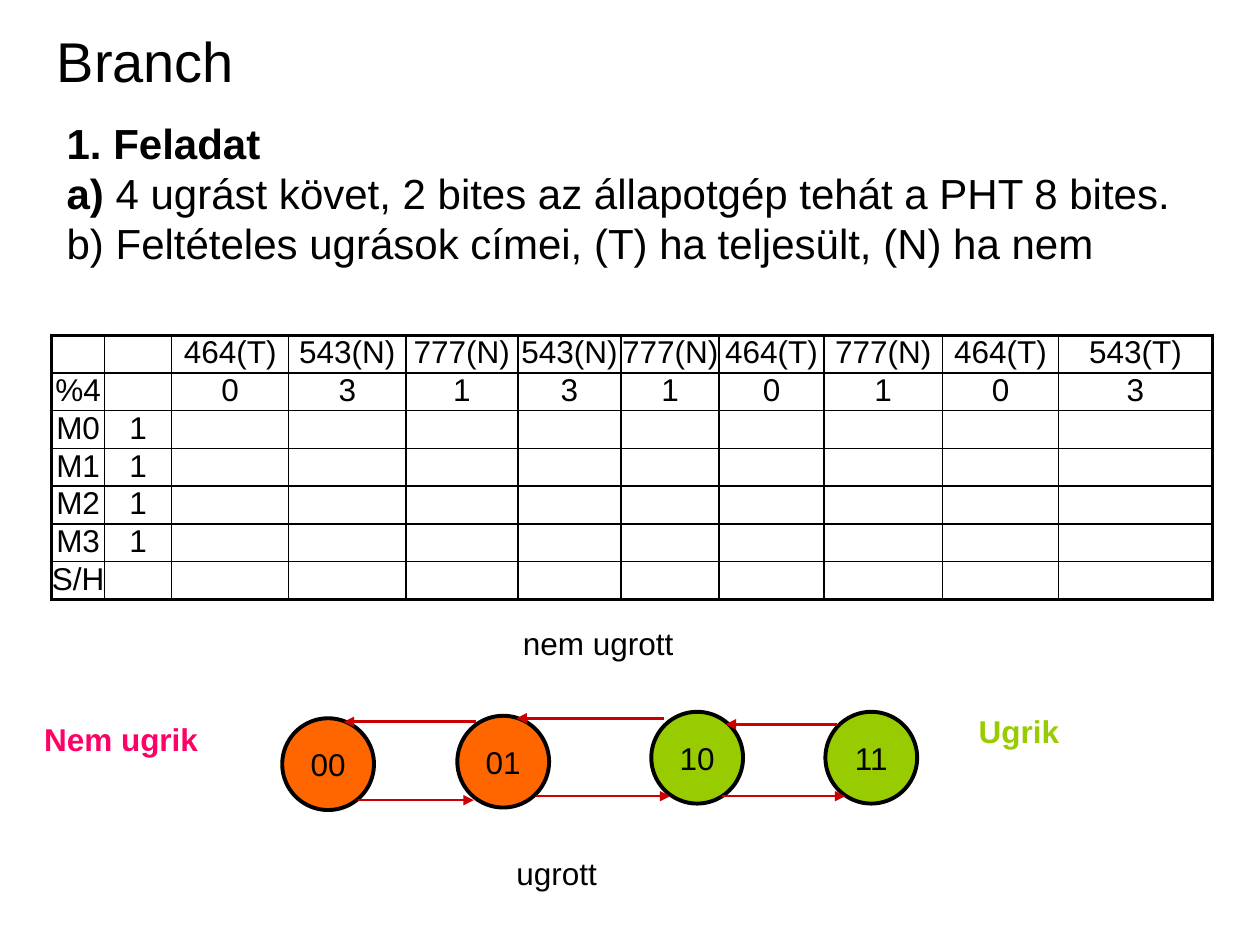
from lxml.etree import SubElement
from pptx import Presentation
from pptx.dml.color import RGBColor
from pptx.enum.shapes import MSO_CONNECTOR, MSO_SHAPE
from pptx.enum.text import MSO_ANCHOR, MSO_AUTO_SIZE, PP_ALIGN
from pptx.oxml.ns import qn
from pptx.util import Cm, Pt

BLACK = RGBColor(0x00, 0x00, 0x00)
ORANGE = RGBColor(0xFF, 0x66, 0x00)
GREEN = RGBColor(0x99, 0xCC, 0x00)
RED = RGBColor(0xCC, 0x00, 0x00)
PINK = RGBColor(0xFF, 0x00, 0x66)

TITLE = "Branch"
# Each task line: bold part, regular part
TASK = [
    ("1. Feladat", ""),
    ("a) ", "4 ugrást követ, 2 bites az állapotgép tehát a PHT 8 bites."),
    ("", "b) Feltételes ugrások címei, (T) ha teljesült, (N) ha nem"),
]
HISTORY = [
    ["", "", "464(T)", "543(N)", "777(N)", "543(N)", "777(N)", "464(T)", "777(N)", "464(T)", "543(T)"],
    ["%4", "", "0", "3", "1", "3", "1", "0", "1", "0", "3"],
    ["M0", "1"],
    ["M1", "1"],
    ["M2", "1"],
    ["M3", "1"],
    ["S/H"],
]
COLUMN_WIDTHS = [1.07, 1.35, 2.36, 2.36, 2.26, 2.08, 1.98, 2.11, 2.39, 2.34, 3.1]
ROW_HEIGHT = 0.76

# Name, left, top, fill
STATES = [
    ("00", 5.69, 14.48, ORANGE),
    ("01", 9.22, 14.43, ORANGE),
    ("10", 13.13, 14.35, GREEN),
    ("11", 16.64, 14.35, GREEN),
]
STATE_SIZE = 1.85
# Start x, end x, y
TRANSITIONS = [
    (7.21, 9.55, 16.13),
    (10.8, 13.51, 16.05),
    (14.55, 17.04, 16.05),
    (16.87, 14.63, 14.6),
    (13.39, 10.41, 14.48),
    (9.6, 6.93, 14.55),
]
# Text, left, top, width, colour, bold
LABELS = [
    ("ugrott", 10.16, 17.09, 4.11, BLACK, False),
    ("nem ugrott", 10.29, 12.45, 4.11, BLACK, False),
    ("Ugrik", 19.48, 14.22, 5.44, GREEN, True),
    ("Nem ugrik", 0.64, 14.4, 4.37, PINK, True),
]


def set_font(paragraph, size=18, color=BLACK, bold=False):
    font = paragraph.font
    font.name, font.size, font.bold = "Arial", Pt(size), bold
    font.color.rgb = color


def place(shape, left, top, width, height):
    shape.left, shape.top = Cm(left), Cm(top)
    shape.width, shape.height = Cm(width), Cm(height)


def add_title(slide):
    title = slide.shapes.title
    place(title, 0.89, 0.53, 14.6, 1.37)
    frame = title.text_frame
    frame.text = TITLE
    frame.auto_size = MSO_AUTO_SIZE.NONE
    frame.vertical_anchor = MSO_ANCHOR.MIDDLE
    frame.paragraphs[0].alignment = PP_ALIGN.LEFT
    set_font(frame.paragraphs[0], 32)


def add_task(slide):
    body = slide.placeholders[1]
    place(body, 1.09, 2.31, 23.04, 9.8)
    frame = body.text_frame
    frame.auto_size = MSO_AUTO_SIZE.NONE
    for index, parts in enumerate(TASK):
        paragraph = frame.add_paragraph() if index else frame.paragraphs[0]
        properties = paragraph._p.get_or_add_pPr()
        properties.set("marL", str(Cm(0.96)))
        properties.set("indent", str(Cm(-0.96)))
        SubElement(properties, qn("a:buNone"))
        paragraph.line_spacing = 0.95
        paragraph.space_before = Pt(1.2 if index else 0)
        set_font(paragraph, 24)
        for text, bold in zip(parts, (True, False)):
            if text:
                run = paragraph.add_run()
                run.text, run.font.bold = text, bold


def set_border(cell, side, width):
    line = SubElement(cell._tc.get_or_add_tcPr(), qn(f"a:ln{side}"), w=str(Pt(width)))
    fill = SubElement(line, qn("a:solidFill"))
    SubElement(fill, qn("a:srgbClr"), val=str(BLACK))


def add_history(slide):
    row_count, column_count = len(HISTORY), len(COLUMN_WIDTHS)
    table = slide.shapes.add_table(
        row_count, column_count, Cm(1.04), Cm(6.76),
        Cm(sum(COLUMN_WIDTHS)), Cm(ROW_HEIGHT * row_count)).table
    table.first_row = table.horz_banding = False
    for column, width in zip(table.columns, COLUMN_WIDTHS):
        column.width = Cm(width)
    for r, values in enumerate(HISTORY):
        table.rows[r].height = Cm(ROW_HEIGHT)
        for c in range(column_count):
            cell = table.cell(r, c)
            cell.margin_left = cell.margin_right = cell.margin_top = cell.margin_bottom = 0
            outer_edges = {"L": c == 0, "R": c == column_count - 1,
                           "T": r == 0, "B": r == row_count - 1}
            for side, is_outer in outer_edges.items():
                set_border(cell, side, 2.25 if is_outer else 1)
            cell.fill.background()
            cell.text = values[c] if c < len(values) else ""
            paragraph = cell.text_frame.paragraphs[0]
            paragraph.alignment = PP_ALIGN.CENTER
            set_font(paragraph)


def add_state(slide, name, left, top, color):
    state = slide.shapes.add_shape(
        MSO_SHAPE.OVAL, Cm(left), Cm(top), Cm(STATE_SIZE), Cm(STATE_SIZE))
    state.shadow.inherit = False
    state.fill.solid()
    state.fill.fore_color.rgb = color
    state.line.color.rgb = BLACK
    state.line.width = Pt(2.25)
    frame = state.text_frame
    frame.text = name
    frame.word_wrap = False
    frame.vertical_anchor = MSO_ANCHOR.MIDDLE
    frame.paragraphs[0].alignment = PP_ALIGN.CENTER
    set_font(frame.paragraphs[0])


def add_transition(slide, start, end, y):
    arrow = slide.shapes.add_connector(
        MSO_CONNECTOR.STRAIGHT, Cm(start), Cm(y), Cm(end), Cm(y))
    arrow.line.color.rgb = RED
    arrow.line.width = Pt(1.5)
    SubElement(arrow.line._get_or_add_ln(), qn("a:tailEnd"), type="triangle")
    SubElement(arrow._element.spPr, qn("a:effectLst"))


def add_label(slide, text, left, top, width, color, bold):
    frame = slide.shapes.add_textbox(Cm(left), Cm(top), Cm(width), Cm(1.02)).text_frame
    frame.word_wrap = True
    frame.text = text
    set_font(frame.paragraphs[0], color=color, bold=bold)


def main():
    presentation = Presentation()
    presentation.slide_width, presentation.slide_height = Cm(25.4), Cm(19.05)
    slide = presentation.slides.add_slide(presentation.slide_layouts[1])
    add_title(slide)
    add_task(slide)
    add_history(slide)
    for state in STATES:
        add_state(slide, *state)
    for transition in TRANSITIONS:
        add_transition(slide, *transition)
    for label in LABELS:
        add_label(slide, *label)
    presentation.save("out.pptx")


if __name__ == "__main__":
    main()
